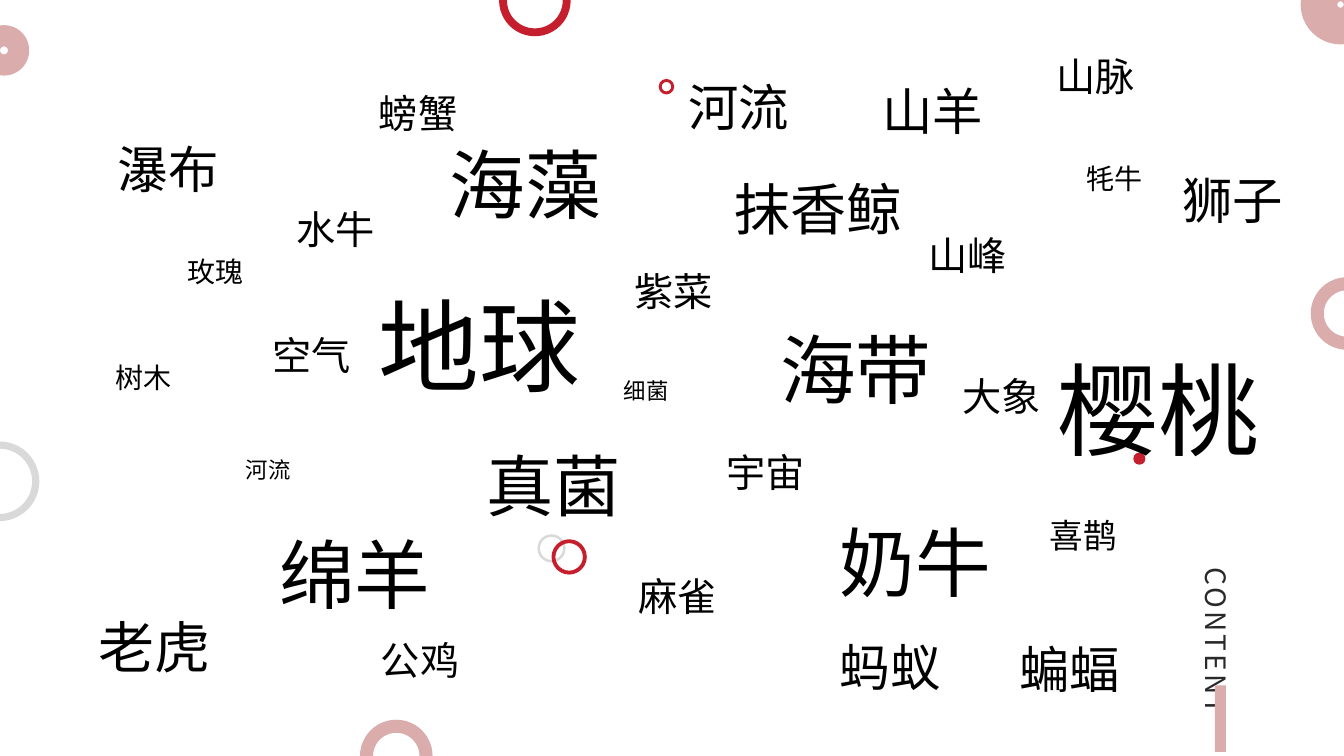
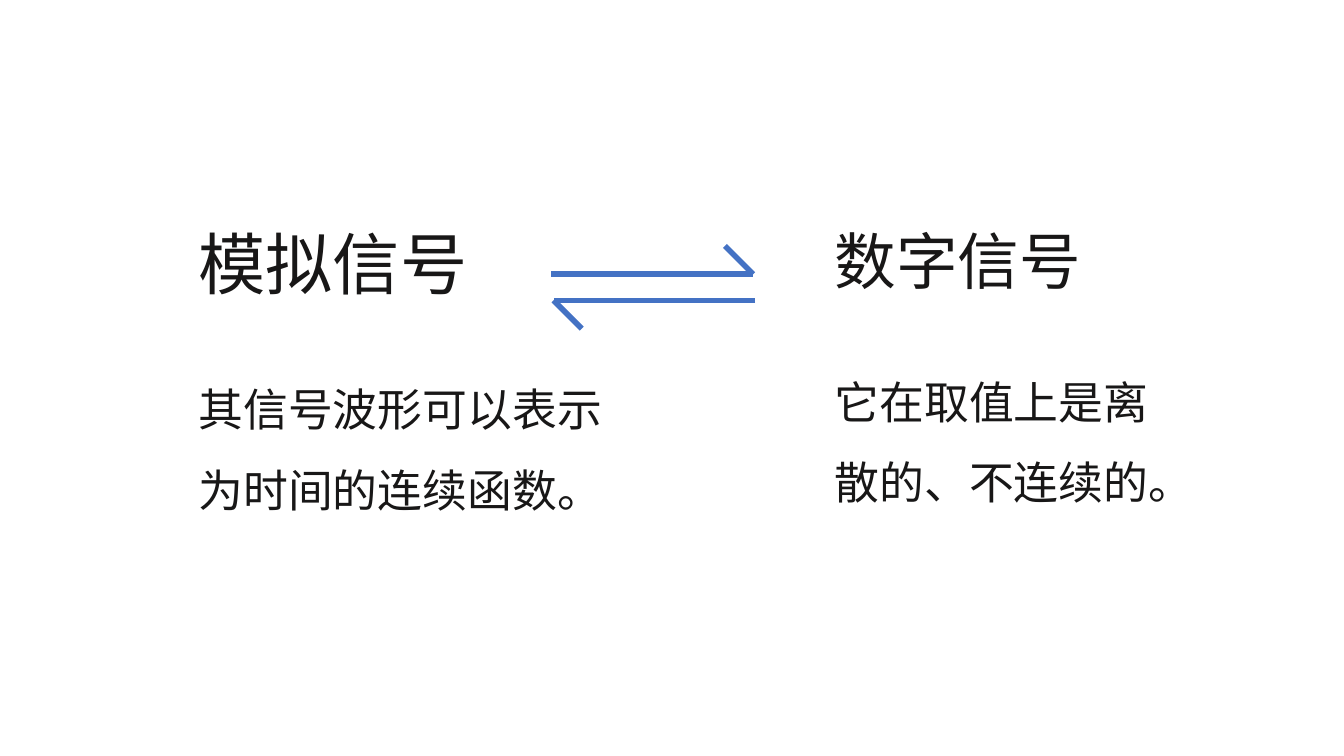
from collections import namedtuple

from lxml.etree import SubElement
from pptx import Presentation
from pptx.dml.color import RGBColor
from pptx.enum.lang import MSO_LANGUAGE_ID
from pptx.enum.shapes import MSO_CONNECTOR, MSO_SHAPE
from pptx.enum.text import MSO_AUTO_SIZE
from pptx.oxml.ns import qn
from pptx.util import Emu, Pt

PX = 9144
BLACK = RGBColor(0x00, 0x00, 0x00)
INK = RGBColor(0x18, 0x17, 0x17)
CHARCOAL = RGBColor(0x29, 0x29, 0x29)
RED = RGBColor(0xC5, 0x1F, 0x2D)
PINK = RGBColor(0xDA, 0xAC, 0xAB)
GREY = RGBColor(0xD9, 0xD9, 0xD9)
BLUE = RGBColor(0x44, 0x72, 0xC4)
CLOUD_FONT = "Noto Sans CJK JP"
SIGNAL_FONT = "Noto Sans CJK SC"

Box = namedtuple("Box", "left top width height")

RINGS = [
    (-40, 438, 79, 0.09, GREY),
    (533, 530, 28, 0.09, GREY),
    (547, 535, 35, 0.11, RED),
    (357, 714, 72, 0.18, PINK),
    (-21, 25, 50, 0.42, PINK),
    (495, -35, 71, 0.11, RED),
    (1300, 275, 72, 0.18, PINK),
    (1290, -35, 79, 0.46, PINK),
]

WORDS = [
    ("瀑布", 107, 132, 177, 36),
    ("空气", 260, 324, 103, 28),
    ("山脉", 1038, 47, 220, 28),
    ("河流", 234, 448, 79, 16),
    ("细菌", 609, 369, 134, 16),
    ("海藻", 436, 132, 350, 54),
    ("抹香鲸", 719, 168, 196, 40),
    ("地球", 366, 277, 276, 72),
    ("宇宙", 711, 440, 220, 28),
    ("河流", 673, 71, 144, 36),
    ("山峰", 911, 225, 220, 28),
    ("紫菜", 619, 260, 220, 28),
    ("真菌", 473, 436, 177, 48),
    ("海带", 764, 315, 350, 54),
    ("山羊", 865, 75, 249, 36),
    ("绵羊", 267, 519, 350, 54),
    ("奶牛", 823, 507, 188, 54),
    ("牦牛", 1068, 155, 220, 20),
    ("螃蟹", 366, 84, 220, 28),
    ("水牛", 284, 199, 103, 28),
    ("玫瑰", 176, 248, 100, 20),
    ("树木", 105, 353, 103, 20),
    ("樱桃", 1039, 340, 242, 72),
    ("蚂蚁", 823, 626, 135, 36),
    ("老虎", 88, 603, 147, 40),
    ("狮子", 1163, 163, 132, 36),
    ("大象", 945, 364, 128, 28),
    ("麻雀", 623, 563, 136, 28),
    ("喜鹊", 1031, 506, 179, 24),
    ("蝙蝠", 1001, 628, 146, 36),
    ("公鸡", 368, 626, 127, 28),
]


def px(length):
    """Turn a length in px into EMU."""
    return Emu(length * PX)


def line_height(size):
    """Return the height in px of a box with one line of text."""
    return size * 5 // 3 + 11


def add_text(page, box, text, size, font, color, wrap=True, spacing=None):
    """Place a one-paragraph text box and return it."""
    label = page.shapes.add_textbox(*map(px, box))
    frame = label.text_frame
    frame.word_wrap = wrap
    frame.auto_size = MSO_AUTO_SIZE.SHAPE_TO_FIT_TEXT
    para = frame.paragraphs[0]
    if spacing:
        para.line_spacing = spacing
    span = para.add_run()
    span.text = text
    span.font.size = Pt(size)
    span.font.color.rgb = color
    span.font.name = font
    span.font.language_id = MSO_LANGUAGE_ID.SIMPLIFIED_CHINESE
    SubElement(span.font._element, qn("a:ea")).set("typeface", font)
    return label


def add_figure(page, kind, box, color):
    """Place a flat preset shape and return it."""
    figure = page.shapes.add_shape(kind, *map(px, box))
    figure.shadow.inherit = False
    figure.fill.solid()
    figure.fill.fore_color.rgb = color
    figure.line.fill.background()
    return figure


def add_ring(page, left, top, diameter, thickness, color):
    """Place a ring and return it."""
    box = Box(left, top, diameter, diameter)
    ring = add_figure(page, MSO_SHAPE.DONUT, box, color)
    ring.adjustments[0] = thickness
    return ring


def add_content_tab(page, box):
    """Place the vertical label with its bar."""
    text_box = Box(box.left, box.top, box.width, 201)
    label = add_text(page, text_box, "CONTENT", 20, CLOUD_FONT, CHARCOAL)
    frame = label.text_frame
    frame.margin_left = frame.margin_right = px(7)
    frame.margin_top = frame.margin_bottom = px(4)
    frame._txBody.bodyPr.set("vert", "eaVert")
    frame.paragraphs[0].runs[0].font._element.set("spc", "220")
    bar = Box(box.left + 24, box.top + box.height - 66, 11, 66)
    add_figure(page, MSO_SHAPE.RECTANGLE, bar, PINK)


def add_rings(page, box):
    """Scatter the rings and the dot over the box."""
    for left, top, diameter, thickness, color in RINGS:
        add_ring(page, box.left + left, box.top + top, diameter, thickness, color)
    small = add_ring(page, box.left + 654, box.top + 79, 14, 0.11, RED)
    small.line.color.rgb = RED
    small.line.width = Pt(1)
    dot = Box(box.left + 1124, box.top + 449, 12, 12)
    add_figure(page, MSO_SHAPE.OVAL, dot, RED)


def add_words(page, box):
    """Scatter the words over the box."""
    for text, left, top, width, size in WORDS:
        place = Box(box.left + left, box.top + top, width, line_height(size))
        add_text(page, place, text, size, CLOUD_FONT, BLACK)


def add_signal(page, box, title, size, title_width, body):
    """Place a signal's name with its description below."""
    height = line_height(size)
    title_box = Box(box.left, box.top, title_width, height)
    add_text(page, title_box, title, size, SIGNAL_FONT, INK, wrap=False)
    body_top = box.top + height + 40
    body_box = Box(box.left, body_top, box.width, 164)
    add_text(page, body_box, body, 32, SIGNAL_FONT, INK, spacing=1.5)


def add_half_arrow(page, tail, y, direction):
    """Draw a one-barbed arrow; direction is 1 to the right, -1 to the left."""
    tip = tail + 200 * direction
    barb = 28 * direction
    group = page.shapes.add_group_shape()
    for ends in ((tail, y, tip, y), (tip, y, tip - barb, y - barb)):
        stroke = group.shapes.add_connector(MSO_CONNECTOR.STRAIGHT, *map(px, ends))
        stroke.line.color.rgb = BLUE
        stroke.line.width = Pt(4)
        SubElement(stroke._element.spPr, qn("a:effectLst"))


def add_exchange(page, box):
    """Draw the pair of opposite half arrows inside the box."""
    add_half_arrow(page, box.left, box.top + 28, 1)
    add_half_arrow(page, box.left + box.width, box.top + box.height - 28, -1)


def build_word_cloud(page, box):
    """Build the word cloud slide."""
    add_content_tab(page, Box(box.left + 1181, box.top + 559, 49, 187))
    add_rings(page, box)
    add_words(page, box)


def build_signals(page, box):
    """Build the slide that sets two kinds of signal side by side."""
    top = box.top + 216
    add_signal(page, Box(box.left + 187, top, 432, 295),
               "模拟信号", 48, 289, "其信号波形可以表示为时间的连续函数。")
    add_signal(page, Box(box.left + 818, top, 362, 288),
               "数字信号", 44, 267, "它在取值上是离散的、不连续的。")
    add_exchange(page, Box(box.left + 547, box.top + 244, 202, 82))


def main():
    """Build and save the deck."""
    deck = Presentation()
    deck.slide_width, deck.slide_height = px(1333), px(750)
    whole = Box(0, 0, 1333, 750)
    for build in (build_word_cloud, build_signals):
        build(deck.slides.add_slide(deck.slide_layouts[6]), whole)
    deck.save("out.pptx")


if __name__ == "__main__":
    main()
